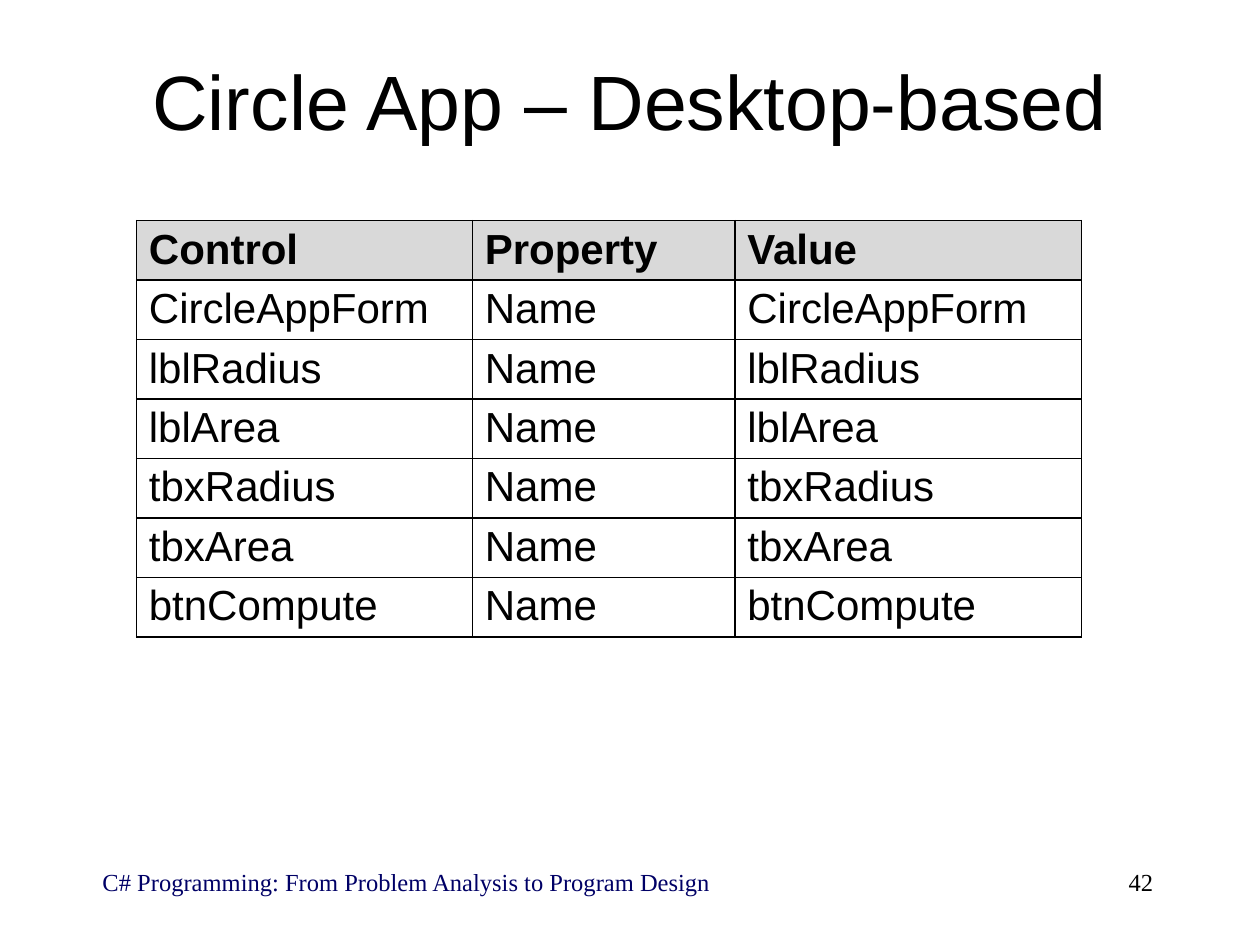
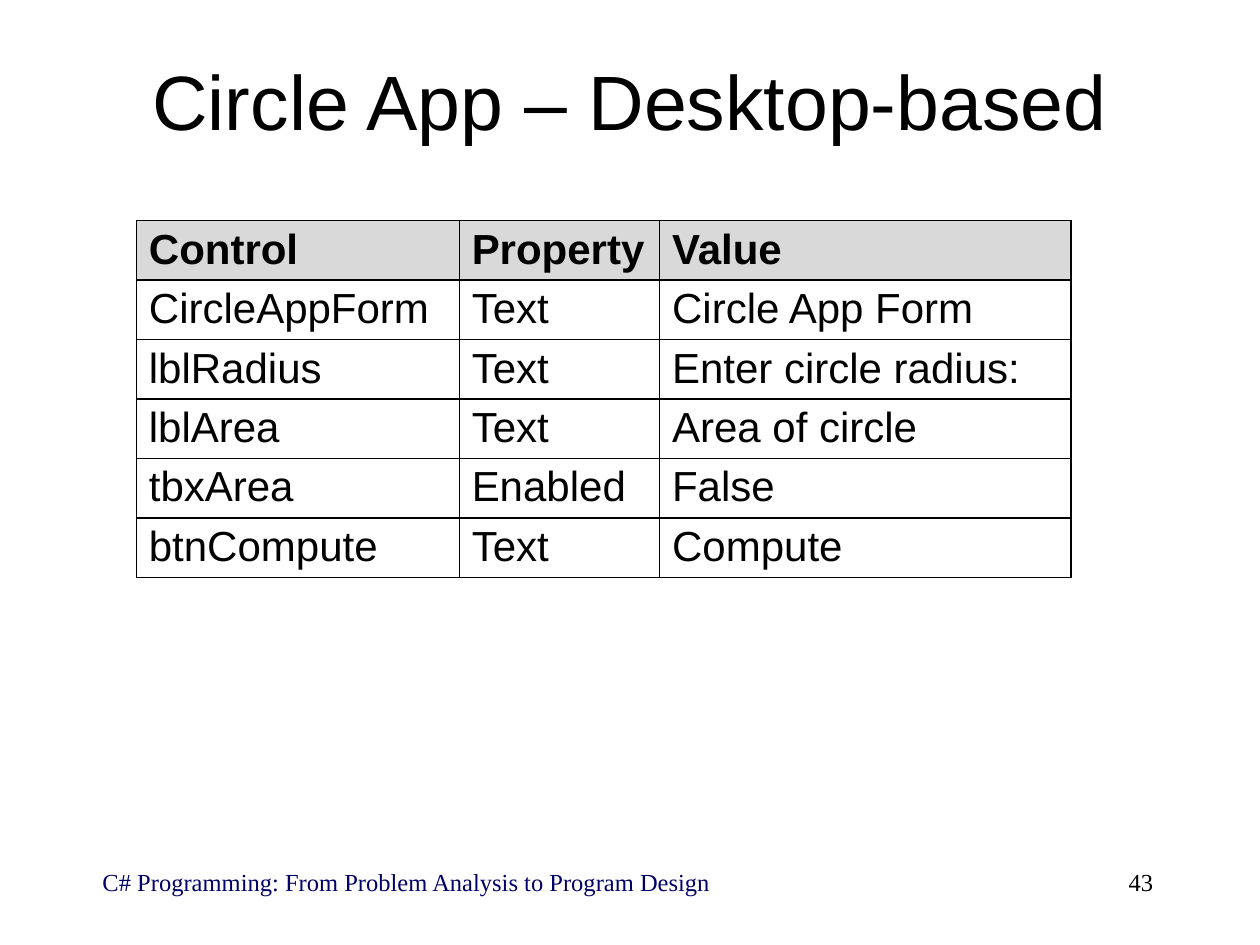
from lxml.etree import SubElement
from pptx import Presentation
from pptx.dml.color import RGBColor
from pptx.enum.text import MSO_ANCHOR, PP_ALIGN
from pptx.oxml.ns import qn
from pptx.util import Pt

BLACK, NAVY, HEADER_GREY, WHITE = "000000", "000066", "D9D9D9", "FFFFFF"
SANS, SERIF = "Arial", "Times New Roman"

TITLE_BOX = (54, 12, 612, 90)
BOOK_BOX = (51.5, 492, 426, 36)
NUMBER_BOX = (516, 492, 150, 36)
TABLE_ORIGIN = (78, 126)
ROW_HEIGHT = 34

TITLE = "Circle App – Desktop-based"
BOOK = "C# Programming: From Problem Analysis to Program Design"
HEADINGS = ("Control", "Property", "Value")

NAMED_CONTROLS = ("CircleAppForm", "lblRadius", "lblArea",
                  "tbxRadius", "tbxArea", "btnCompute")
NAME_ROWS = [(control, "Name", control) for control in NAMED_CONTROLS]
SETTING_ROWS = [
    ("CircleAppForm", "Text", "Circle App Form"),
    ("lblRadius", "Text", "Enter circle radius:"),
    ("lblArea", "Text", "Area of circle"),
    ("tbxArea", "Enabled", "False"),
    ("btnCompute", "Text", "Compute"),
]
# slide number, column widths, rows
PAGES = [
    (42, (192, 150, 198), NAME_ROWS),
    (43, (184.5, 114.5, 235), SETTING_ROWS),
]


def color(value):
    return RGBColor.from_string(value)


def add_run(paragraph, text, font, size, ink=BLACK, bold=False):
    run = paragraph.add_run()
    run.text = text
    run.font.name = font
    run.font.size = Pt(size)
    run.font.bold = bold
    run.font.color.rgb = color(ink)


def add_label(slide, box, text, font, size, ink=BLACK,
              align=PP_ALIGN.LEFT, anchor=MSO_ANCHOR.TOP):
    frame = slide.shapes.add_textbox(*map(Pt, box)).text_frame
    frame.word_wrap = True
    frame.vertical_anchor = anchor
    paragraph = frame.paragraphs[0]
    paragraph.alignment = align
    add_run(paragraph, text, font, size, ink)


def add_title(slide, box):
    add_label(slide, box, TITLE, SANS, 44,
              align=PP_ALIGN.CENTER, anchor=MSO_ANCHOR.MIDDLE)


def add_footer(slide, book_box, number_box, number):
    add_label(slide, book_box, BOOK, SERIF, 14, NAVY)
    add_label(slide, number_box, str(number), SERIF, 14, align=PP_ALIGN.RIGHT)


def add_borders(cell):
    """Rule all four sides; border elements must precede the cell's fill."""
    properties = cell._tc.get_or_add_tcPr()
    for side in ("a:lnL", "a:lnR", "a:lnT", "a:lnB"):
        border = SubElement(properties, qn(side), w=str(Pt(1)))
        fill = SubElement(border, qn("a:solidFill"))
        SubElement(fill, qn("a:srgbClr"), val=BLACK)


def fill_cell(cell, text, is_heading):
    cell.margin_left = cell.margin_right = Pt(7.1)
    cell.margin_top, cell.margin_bottom = Pt(3.2), Pt(2)
    add_borders(cell)
    cell.fill.solid()
    cell.fill.fore_color.rgb = color(HEADER_GREY if is_heading else WHITE)
    add_run(cell.text_frame.paragraphs[0], text, SANS, 24, bold=is_heading)


def add_property_table(slide, origin, widths, rows):
    lines = [HEADINGS, *rows]
    size = (sum(widths), ROW_HEIGHT * len(lines))
    table = slide.shapes.add_table(
        len(lines), len(widths), *map(Pt, origin + size)).table
    for column, width in zip(table.columns, widths):
        column.width = Pt(width)
    for index, line in enumerate(lines):
        table.rows[index].height = Pt(ROW_HEIGHT)
        for cell, text in zip(table.rows[index].cells, line):
            fill_cell(cell, text, is_heading=index == 0)


def main():
    deck = Presentation()
    deck.slide_width, deck.slide_height = Pt(720), Pt(540)
    blank = deck.slide_layouts[6]
    for number, widths, rows in PAGES:
        slide = deck.slides.add_slide(blank)
        add_footer(slide, BOOK_BOX, NUMBER_BOX, number)
        add_title(slide, TITLE_BOX)
        add_property_table(slide, TABLE_ORIGIN, widths, rows)
    deck.save("out.pptx")


if __name__ == "__main__":
    main()
